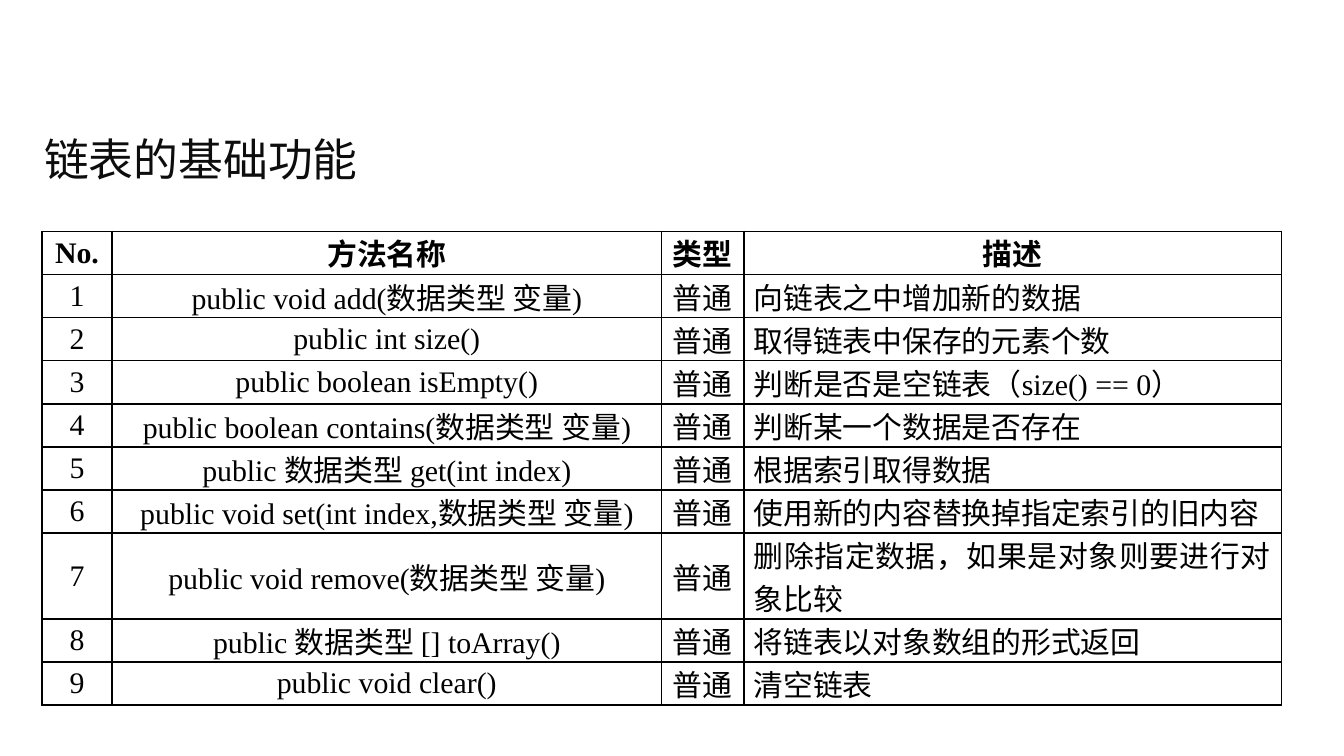
from lxml import etree
from pptx import Presentation
from pptx.dml.color import RGBColor
from pptx.enum.text import MSO_ANCHOR, PP_ALIGN
from pptx.oxml.ns import qn
from pptx.util import Pt

MIDDLE = MSO_ANCHOR.MIDDLE
CENTER, JUSTIFY, LEFT = PP_ALIGN.CENTER, PP_ALIGN.JUSTIFY, PP_ALIGN.LEFT
BLACK = RGBColor(0x00, 0x00, 0x00)
TITLE_COLOR = RGBColor(0x0D, 0x0D, 0x0D)
LATIN_FONT, CHINESE_FONT = "Times New Roman", "Noto Sans CJK SC"

TITLE = "链表的基础功能"
HEADER = ("No.", "方法名称", "类型", "描述")
METHOD_TYPE = "普通"
METHODS = [
    ("public void add(数据类型 变量)", "向链表之中增加新的数据"),
    ("public int size()", "取得链表中保存的元素个数"),
    ("public boolean isEmpty()", "判断是否是空链表（size() == 0）"),
    ("public boolean contains(数据类型 变量)", "判断某一个数据是否存在"),
    ("public 数据类型 get(int index)", "根据索引取得数据"),
    ("public void set(int index,数据类型 变量)", "使用新的内容替换掉指定索引的旧内容"),
    ("public void remove(数据类型 变量)", "删除指定数据，如果是对象则要进行对象比较"),
    ("public 数据类型 [] toArray()", "将链表以对象数组的形式返回"),
    ("public void clear()", "清空链表"),
]

SLIDE_SIZE = (720, 405)
TITLE_BOX = (16.5, 62, 686, 46)
TABLE_LEFT, TABLE_TOP = 22.5, 124
COLUMN_WIDTHS = (37.5, 294.5, 44, 288)
LINE_HEIGHT = 23.1
TWO_LINE_ROW = 7
CELL_INSET = 5.3
BORDER_WIDTH = 1


def write_text(text_frame, text, alignment, latin_font, **font_format):
    paragraph = text_frame.paragraphs[0]
    paragraph.alignment = alignment
    run = paragraph.add_run()
    run.text = text
    run.font.name = latin_font
    color = font_format.pop("color")
    for name, value in font_format.items():
        setattr(run.font, name, value)
    run.font.color.rgb = color
    east_asian = etree.SubElement(run.font._element, qn("a:ea"))
    east_asian.set("typeface", CHINESE_FONT)


def add_borders(cell):
    properties = cell._tc.get_or_add_tcPr()
    for index, side in enumerate(("lnL", "lnR", "lnT", "lnB")):
        line = etree.Element(qn(f"a:{side}"), w=str(Pt(BORDER_WIDTH)))
        fill = etree.SubElement(line, qn("a:solidFill"))
        etree.SubElement(fill, qn("a:srgbClr"), val=str(BLACK))
        properties.insert(index, line)


def add_title(slide):
    text_frame = slide.shapes.add_textbox(*map(Pt, TITLE_BOX)).text_frame
    text_frame.word_wrap = True
    text_frame.vertical_anchor = MIDDLE
    write_text(text_frame, TITLE, LEFT, CHINESE_FONT, size=Pt(24), color=TITLE_COLOR)


def add_method_table(slide):
    rows = [HEADER] + [
        (str(number), method, METHOD_TYPE, description)
        for number, (method, description) in enumerate(METHODS, 1)
    ]
    heights = [LINE_HEIGHT * (2 if i == TWO_LINE_ROW else 1) for i in range(len(rows))]
    table = slide.shapes.add_table(
        len(rows), len(HEADER), Pt(TABLE_LEFT), Pt(TABLE_TOP),
        Pt(sum(COLUMN_WIDTHS)), Pt(sum(heights)),
    ).table
    table.first_row = table.horz_banding = False
    for column, width in zip(table.columns, COLUMN_WIDTHS):
        column.width = Pt(width)

    cell_format = {
        "vertical_anchor": MIDDLE,
        "margin_left": Pt(CELL_INSET), "margin_right": Pt(CELL_INSET),
        "margin_top": 0, "margin_bottom": 0,
    }
    for i, texts in enumerate(rows):
        table.rows[i].height = Pt(heights[i])
        is_header = i == 0
        for j, text in enumerate(texts):
            cell = table.cell(i, j)
            for name, value in cell_format.items():
                setattr(cell, name, value)
            cell.fill.background()
            add_borders(cell)
            is_description = j == len(HEADER) - 1 and not is_header
            write_text(cell.text_frame, text, JUSTIFY if is_description else CENTER,
                       LATIN_FONT, size=Pt(16), bold=is_header, color=BLACK)


def main():
    presentation = Presentation()
    presentation.slide_width, presentation.slide_height = map(Pt, SLIDE_SIZE)
    slide = presentation.slides.add_slide(presentation.slide_layouts[6])
    add_title(slide)
    add_method_table(slide)
    presentation.save("out.pptx")


if __name__ == "__main__":
    main()
